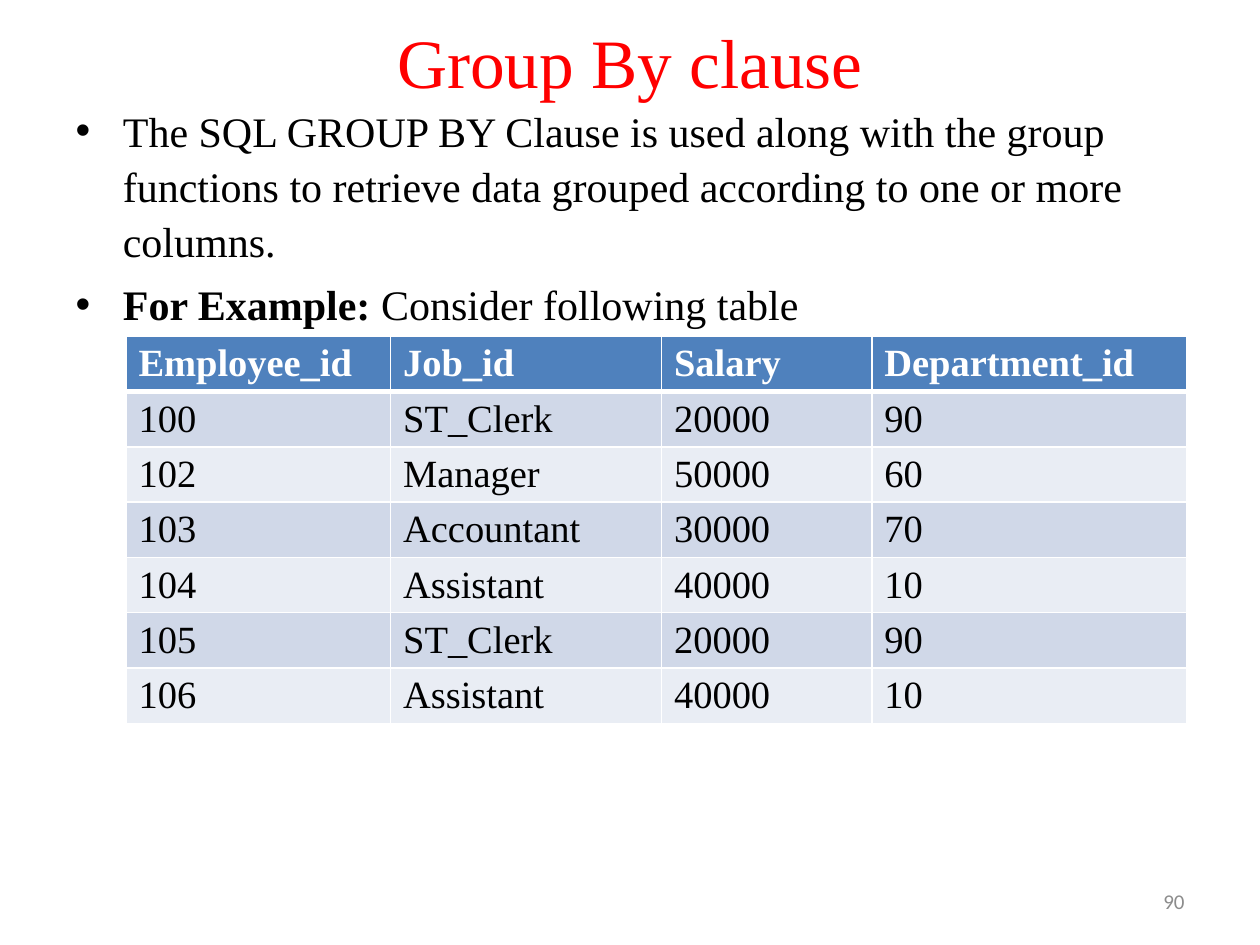
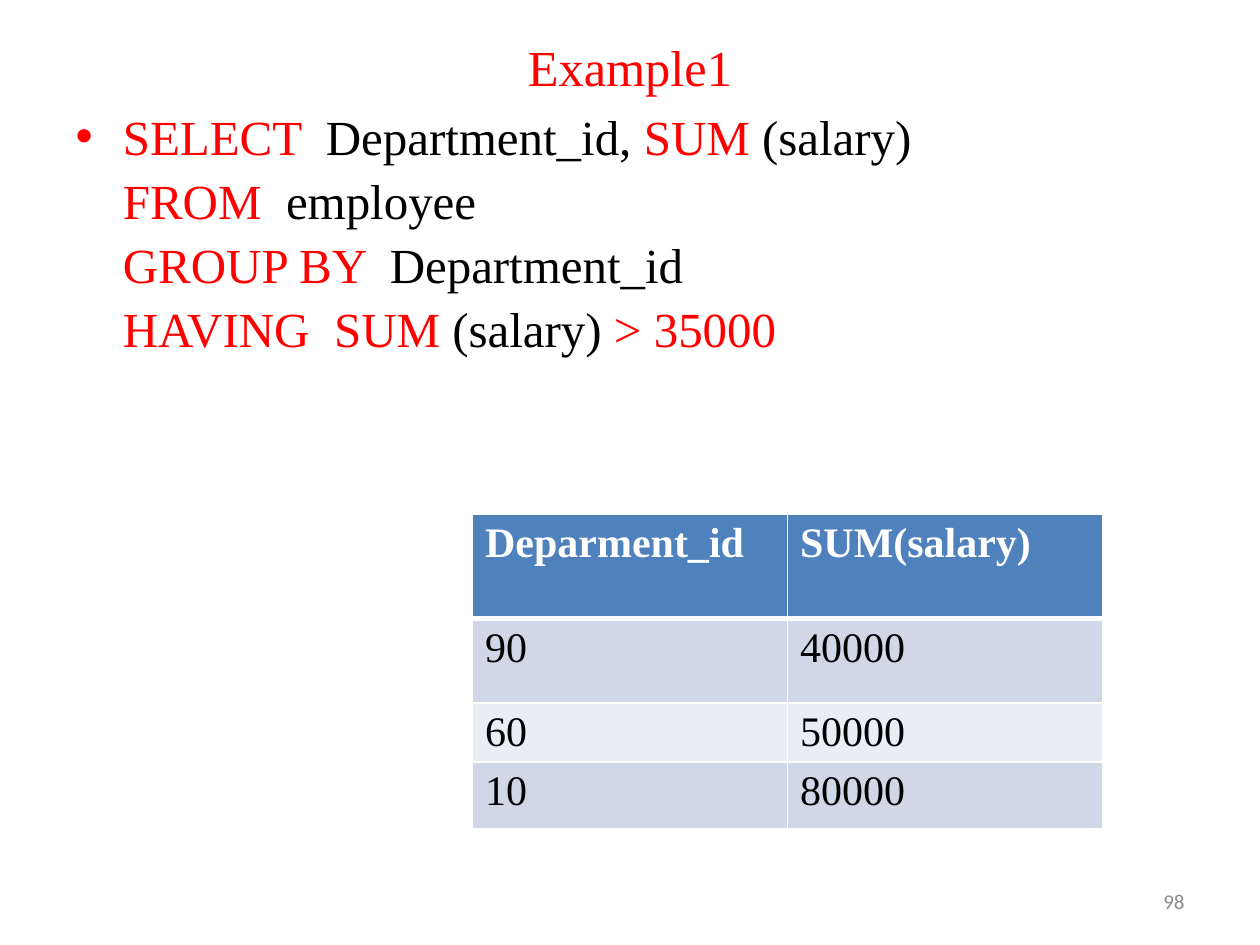
from copy import deepcopy

from lxml.etree import SubElement
from pptx import Presentation
from pptx.dml.color import RGBColor
from pptx.enum.text import MSO_ANCHOR, MSO_AUTO_SIZE, PP_ALIGN
from pptx.oxml.ns import qn
from pptx.util import Inches, Pt

SERIF = "Times New Roman"
RED, BLACK, WHITE, GREY = "FF0000", "000000", "FFFFFF", "8C8C8C"
HEAD, BANDS = "4F81BD", ("D0D8E8", "E9EDF4")


def style(font, size, color, bold=False, name=SERIF):
    font.name, font.size, font.bold = name, Pt(size), bold
    font.color.rgb = RGBColor.from_string(color)


def place(sp, left, top, width, height):
    """Position a shape in grid units (20 columns by 15 rows)."""
    sp.left, sp.top = int(left * unit), int(top * unit)
    sp.width, sp.height = int(width * unit), int(height * unit)


prs = Presentation()
prs.slide_width, prs.slide_height = Inches(10), Inches(7.5)
unit = prs.slide_width / 20

# Each paragraph is a list of lines; each line is a list of (text, colour, bold)
slides = [
    dict(
        title="Group By clause", title_size=39.6, title_rows=0.74,
        body_size=24, body_rows=12.66,
        body=[
            [[("The SQL GROUP BY Clause is used along with the group functions "
               "to retrieve data grouped according to one or more columns.", BLACK, False)]],
            [[("For Example:", BLACK, True), (" Consider following table", BLACK, False)]],
        ],
        table_at=(2, 5.34), table_size=22,
        cols=[4.2, 4.3, 3.34, 5], rows=[0.82] * 7,
        cells=[
            ("Employee_id", "Job_id", "Salary", "Department_id"),
            ("100", "ST_Clerk", "20000", "90"),
            ("102", "Manager", "50000", "60"),
            ("103", "Accountant", "30000", "70"),
            ("104", "Assistant", "40000", "10"),
            ("105", "ST_Clerk", "20000", "90"),
            ("106", "Assistant", "40000", "10"),
        ],
        number="90",
    ),
    dict(
        title="Example1", title_size=28.8, title_rows=0.9,
        body_size=28, body_rows=13.5,
        body=[[
            [("SELECT  ", RED, False), ("Department_id,", BLACK, False),
             (" SUM ", RED, False), ("(salary)", BLACK, False)],
            [("FROM  ", RED, False), ("employee", BLACK, False)],
            [("GROUP BY  ", RED, False), ("Department_id", BLACK, False)],
            [("HAVING  SUM ", RED, False), ("(salary) ", BLACK, False),
             ("> 35000", RED, False)],
        ]],
        table_at=(7.5, 8.16), table_size=24,
        cols=[5, 5], rows=[1.66, 1.34, 0.82, 1.06],
        cells=[
            ("Deparment_id", "SUM(salary)"),
            ("90", "40000"),
            ("60", "50000"),
            ("10", "80000"),
        ],
        number="98",
    ),
]

for d in slides:
    s = prs.slides.add_slide(prs.slide_layouts[1])

    # Title
    sp = s.shapes.title
    place(sp, 1, 0.6, 18, d["title_rows"])
    tf = sp.text_frame
    tf.text = d["title"]
    tf.auto_size = MSO_AUTO_SIZE.NONE
    style(tf.paragraphs[0].runs[0].font, d["title_size"], RED)

    # Bulleted text
    sp = s.placeholders[1]
    place(sp, 1, 1.5, 18, d["body_rows"])
    tf = sp.text_frame
    tf.auto_size = MSO_AUTO_SIZE.NONE
    for i, lines in enumerate(d["body"]):
        p = tf.paragraphs[0] if i == 0 else tf.add_paragraph()
        p.line_spacing = 1.09
        p.space_before = Pt(0.2 * d["body_size"] if i else 0)
        for j, line in enumerate(lines):
            if j:
                p.add_line_break()
                p._p[-1].append(deepcopy(r._r.rPr))
            for text, color, bold in line:
                r = p.add_run()
                r.text = text
                style(r.font, d["body_size"], color, bold)

    # Table
    cols, rows = d["cols"], d["rows"]
    sp = s.shapes.add_table(len(rows), len(cols), 0, 0, 1, 1)
    place(sp, *d["table_at"], sum(cols), sum(rows))
    table = sp.table
    for col, width in zip(table.columns, cols):
        col.width = int(width * unit)
    for i, height in enumerate(rows):
        table.rows[i].height = int(height * unit)
        for j, text in enumerate(d["cells"][i]):
            cell = table.cell(i, j)
            cell.text = text
            style(cell.text_frame.paragraphs[0].runs[0].font, d["table_size"],
                  BLACK if i else WHITE, bold=i == 0)
            # Borders go before the fill; the rule under the header is thicker
            tcPr = cell._tc.get_or_add_tcPr()
            for side in "LRTB":
                thick = (i, side) in ((0, "B"), (1, "T"))
                ln = SubElement(tcPr, qn(f"a:ln{side}"), w=str(Pt(3 if thick else 1)))
                fill = SubElement(ln, qn("a:solidFill"))
                SubElement(fill, qn("a:srgbClr"), val=WHITE)
            cell.fill.solid()
            cell.fill.fore_color.rgb = RGBColor.from_string(BANDS[(i - 1) % 2] if i else HEAD)

    # Slide number
    sp = s.shapes.add_textbox(0, 0, 1, 1)
    place(sp, 14.34, 13.9, 4.66, 0.8)
    tf = sp.text_frame
    tf.word_wrap = True
    tf.vertical_anchor = MSO_ANCHOR.MIDDLE
    tf.text = d["number"]
    p = tf.paragraphs[0]
    p.alignment = PP_ALIGN.RIGHT
    style(p.runs[0].font, 12, GREY, name="Calibri")

prs.save("out.pptx")
